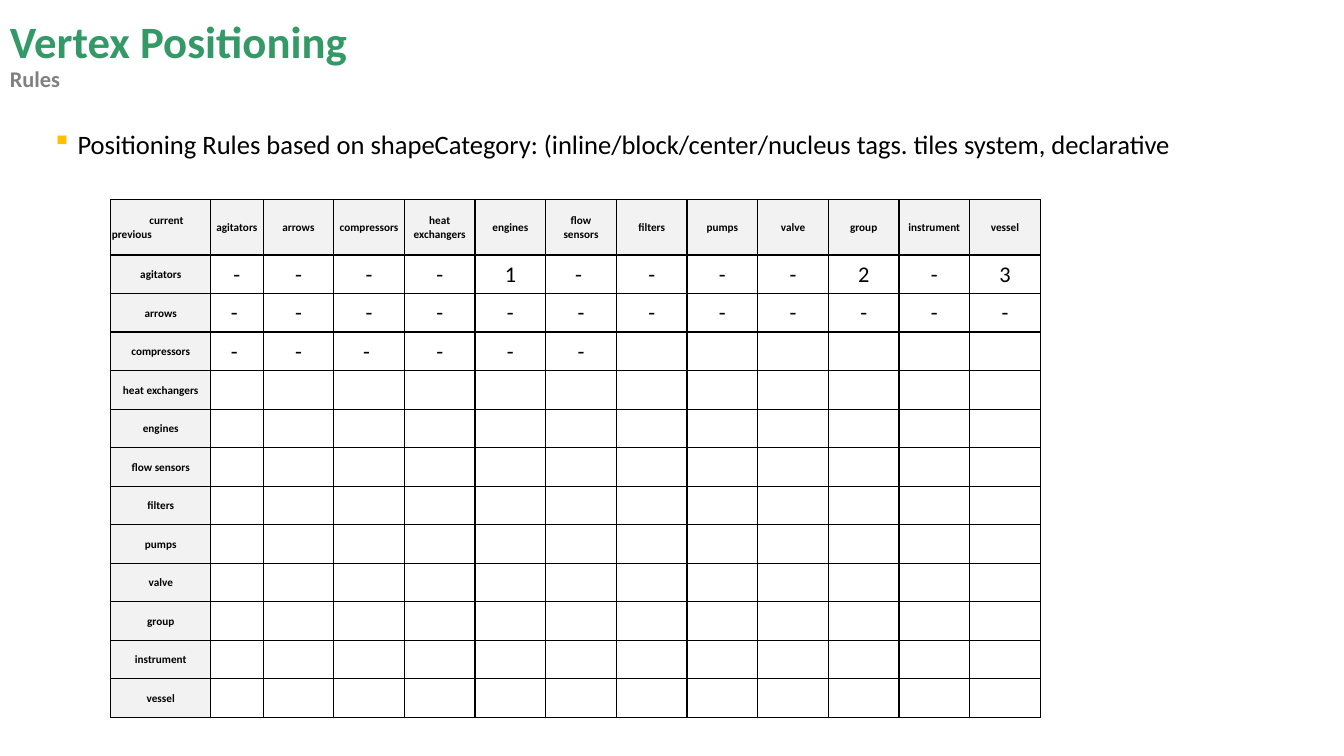
from dataclasses import dataclass

from lxml import etree
from pptx import Presentation, util as u
from pptx.dml.color import RGBColor
from pptx.enum import text
from pptx.oxml import ns


@dataclass(frozen=True)
class Theme:
    font: str = "Calibri"
    title: str = "339966"
    subtitle: str = "808080"
    ink: str = "000000"
    bullet: str = "FFC000"
    label_fill: str = "F2F2F2"
    title_pt: int = 32
    subtitle_pt: int = 16
    body_pt: int = 19
    label_pt: int = 8
    mark_pt: int = 16
    border_pt: float = 1


@dataclass(frozen=True)
class Box:
    left: float
    top: float
    width: float
    height: float


@dataclass(frozen=True)
class Style:
    size: int
    color: str
    bold: bool = False


THEME = Theme()
TITLE = Style(THEME.title_pt, THEME.title, True)
SUBTITLE = Style(THEME.subtitle_pt, THEME.subtitle, True)
BODY = Style(THEME.body_pt, THEME.ink)
LABEL = Style(THEME.label_pt, THEME.ink, True)
MARK = Style(THEME.mark_pt, THEME.ink)

SLIDE_W, SLIDE_H = u.Inches(13.33), u.Inches(7.5)
TITLE_BOX = Box(0, 0.27, 100, 14.4)
BODY_BOX = Box(3.15, 17.47, 93.32, 10.13)
TABLE_BOX = Box(8.25, 26.4, 69.17, 68.53)
LABEL_COLUMN, AGITATORS_COLUMN, HEADER_ROW = 7.43, 3.9, 7.33
BULLET_INDENT, CORNER_INDENT = 1.88, 2.8

CATEGORIES = [
    "agitators", "arrows", "compressors", "heat exchangers", "engines", "flow sensors",
    "filters", "pumps", "valve", "group", "instrument", "vessel",
]
NONE, NONE_SPACED = "-", "- "
RULES = {
    "agitators": [NONE] * 4 + ["1", NONE_SPACED] + [NONE] * 3 + ["2", NONE, "3"],
    "arrows": [NONE_SPACED] + [NONE] * 11,
    "compressors": [NONE_SPACED, NONE, NONE_SPACED] + [NONE] * 3,
}


def across(percent: float) -> int:
    return round(SLIDE_W * percent / 100)


def down(percent: float) -> int:
    return round(SLIDE_H * percent / 100)


def place(box: Box) -> tuple[int, int, int, int]:
    return across(box.left), down(box.top), across(box.width), down(box.height)


def add_run(p, words: str, style: Style) -> None:
    r = p.add_run()
    r.text = words
    r.font.name = THEME.font
    r.font.size = u.Pt(style.size)
    r.font.bold = style.bold
    r.font.color.rgb = RGBColor.from_string(style.color)


def add_text_frame(s, box: Box):
    tf = s.shapes.add_textbox(*place(box)).text_frame
    tf.word_wrap = True
    return tf


def add_title(s) -> None:
    tf = add_text_frame(s, TITLE_BOX)
    tf.vertical_anchor = text.MSO_ANCHOR.MIDDLE
    p = tf.paragraphs[0]
    p.line_spacing = 0.9
    add_run(p, "Vertex Positioning", TITLE)
    p.add_line_break()
    add_run(p, "Rules", SUBTITLE)


def add_bullet(s) -> None:
    p = add_text_frame(s, BODY_BOX).paragraphs[0]
    pPr = p._p.get_or_add_pPr()
    pPr.set("marL", str(across(BULLET_INDENT)))
    pPr.set("indent", str(-across(BULLET_INDENT)))
    color = etree.SubElement(pPr, ns.qn("a:buClr"))
    etree.SubElement(color, ns.qn("a:srgbClr"), val=THEME.bullet)
    etree.SubElement(pPr, ns.qn("a:buChar"), char="▪")
    p.alignment = text.PP_ALIGN.JUSTIFY
    p.line_spacing = 0.7
    add_run(p, "Positioning Rules based on shapeCategory: "
               "(inline/block/center/nucleus tags. tiles system, declarative", BODY)


def add_borders(cell) -> None:
    tcPr = cell._tc.get_or_add_tcPr()
    for index, side in enumerate("LRTB"):
        line = etree.Element(ns.qn(f"a:ln{side}"), w=str(u.Pt(THEME.border_pt)))
        fill = etree.SubElement(line, ns.qn("a:solidFill"))
        etree.SubElement(fill, ns.qn("a:srgbClr"), val=THEME.ink)
        tcPr.insert(index, line)


def fill_cell(cell, lines: list[str], style: Style, shaded: bool) -> None:
    cell.margin_left = cell.margin_right = cell.margin_top = u.Inches(0.01)
    cell.margin_bottom = 0
    cell.vertical_anchor = text.MSO_ANCHOR.MIDDLE
    if shaded:
        cell.fill.solid()
        cell.fill.fore_color.rgb = RGBColor.from_string(THEME.label_fill)
    else:
        cell.fill.background()
    add_borders(cell)
    tf = cell.text_frame
    for index, words in enumerate(lines):
        p = tf.add_paragraph() if index else tf.paragraphs[0]
        p.alignment = text.PP_ALIGN.CENTER
        add_run(p, words, style)


def add_rules_table(s) -> None:
    count = len(CATEGORIES)
    table = s.shapes.add_table(count + 1, count + 1, *place(TABLE_BOX)).table
    table.first_row = table.horz_banding = False

    column = (TABLE_BOX.width - LABEL_COLUMN - AGITATORS_COLUMN) / (count - 1)
    for col, width in zip(table.columns, [LABEL_COLUMN, AGITATORS_COLUMN] + [column] * (count - 1)):
        col.width = across(width)
    row_height = (TABLE_BOX.height - HEADER_ROW) / count
    for row, height in zip(table.rows, [HEADER_ROW] + [row_height] * count):
        row.height = down(height)

    corner = table.cell(0, 0)
    fill_cell(corner, ["current", "previous"], LABEL, True)
    for p in corner.text_frame.paragraphs:
        p.alignment = text.PP_ALIGN.LEFT
    corner.text_frame.paragraphs[0]._p.get_or_add_pPr().set("marL", str(across(CORNER_INDENT)))

    for i, category in enumerate(CATEGORIES, 1):
        fill_cell(table.cell(0, i), category.split(), LABEL, True)
        fill_cell(table.cell(i, 0), [category], LABEL, True)
        marks = RULES.get(category, [])
        for j in range(1, count + 1):
            fill_cell(table.cell(i, j), marks[j - 1:j], MARK, False)


def main() -> None:
    prs = Presentation()
    prs.slide_width, prs.slide_height = SLIDE_W, SLIDE_H
    s = prs.slides.add_slide(prs.slide_layouts[6])
    add_title(s)
    add_bullet(s)
    add_rules_table(s)
    prs.save("out.pptx")


if __name__ == "__main__":
    main()
